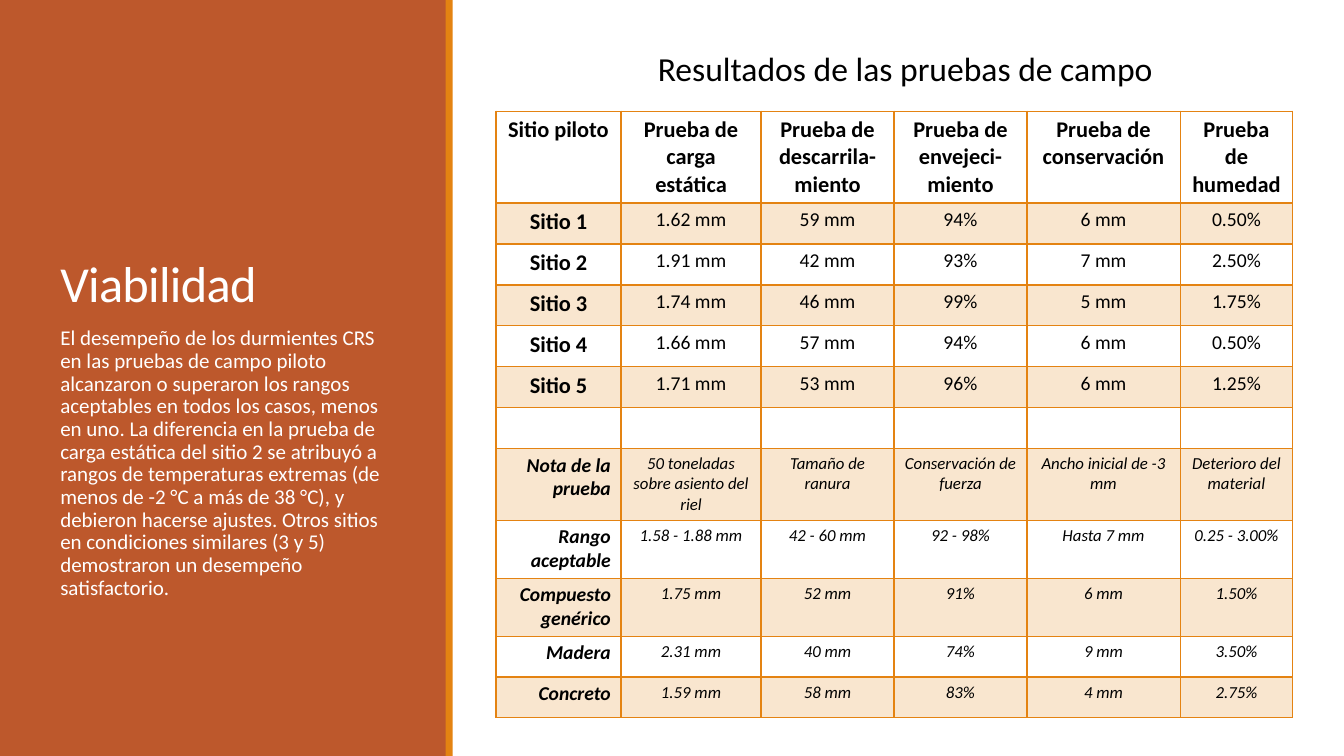
from lxml.etree import SubElement
from pptx import Presentation
from pptx.dml.color import RGBColor
from pptx.enum.shapes import MSO_SHAPE
from pptx.enum.text import MSO_ANCHOR, PP_ALIGN
from pptx.oxml import parse_xml
from pptx.oxml.ns import nsdecls, qn
from pptx.util import Cm, Pt

ORANGE = "E48312"


def paint(fill, color):
    fill.solid()
    fill.fore_color.rgb = RGBColor.from_string(color)


def write(frame, text, size, color="000000", align=PP_ALIGN.LEFT, bold=False, slant=False):
    par = frame.paragraphs[0]
    par.text = text
    par.alignment = align
    font = par.font
    font.name = "Calibri"
    font.size = Pt(size)
    font.bold = bold
    font.italic = slant
    paint(font.fill, color)
    return par


deck = Presentation()
deck.slide_width = Cm(33.87)
deck.slide_height = Cm(19.05)
slide = deck.slides.add_slide(deck.slide_layouts[6])
shapes = slide.shapes

for left, width, color in [(0, 11.25, "BD582C"), (11.23, 0.18, ORANGE)]:
    band = shapes.add_shape(MSO_SHAPE.RECTANGLE, Cm(left), 0, Cm(width), Cm(19.05))
    band.shadow.inherit = False
    paint(band.fill, color)
    band.line.fill.background()

title = shapes.add_textbox(Cm(1.27), Cm(1.65), Cm(8.89), Cm(6.35)).text_frame
title.word_wrap = True
title.vertical_anchor = MSO_ANCHOR.BOTTOM
par = write(title, "Viabilidad", 36, "FFFFFF")
par.line_spacing = 0.85
par.runs[0].font._element.set("spc", "-50")

rows = [
    ["Sitio piloto", "Prueba de carga estática", "Prueba de descarrila-miento",
     "Prueba de envejeci-miento", "Prueba de conservación", "Prueba de humedad"],
    ["Sitio 1", "1.62 mm", "59 mm", "94%", "6 mm", "0.50%"],
    ["Sitio 2", "1.91 mm", "42 mm", "93%", "7 mm", "2.50%"],
    ["Sitio 3", "1.74 mm", "46 mm", "99%", "5 mm", "1.75%"],
    ["Sitio 4", "1.66 mm", "57 mm", "94%", "6 mm", "0.50%"],
    ["Sitio 5", "1.71 mm", "53 mm", "96%", "6 mm", "1.25%"],
    [""] * 6,
    ["Nota de la prueba", "50 toneladas sobre asiento del riel", "Tamaño de ranura",
     "Conservación de fuerza", "Ancho inicial de -3 mm", "Deterioro del material"],
    ["Rango aceptable", "1.58 - 1.88 mm", "42 - 60 mm", "92 - 98%", "Hasta 7 mm", "0.25 - 3.00%"],
    ["Compuesto genérico", "1.75 mm", "52 mm", "91%", "6 mm", "1.50%"],
    ["Madera", "2.31 mm", "40 mm", "74%", "9 mm", "3.50%"],
    ["Concreto", "1.59 mm", "58 mm", "83%", "4 mm", "2.75%"],
]
widths = [3.15, 3.53, 3.35, 3.35, 3.86, 2.84]
heights = [2.32] + [1.03] * 6 + [1.81, 1.46, 1.46, 1.03, 1.03]

table = shapes.add_table(len(rows), len(widths), Cm(12.5), Cm(2.8),
                         Cm(sum(widths)), Cm(sum(heights))).table
table.first_row = False
table.horz_banding = False
for col, width in zip(table.columns, widths):
    col.width = Cm(width)

for r, row in enumerate(rows):
    table.rows[r].height = Cm(heights[r])
    notes = r > 6
    for c, text in enumerate(row):
        cell = table.cell(r, c)
        head = r == 0 or c == 0
        size = (16 if head else 14) - (2 if notes else 0)
        align = PP_ALIGN.RIGHT if notes and c == 0 else PP_ALIGN.CENTER
        write(cell.text_frame, text, size, align=align, bold=head, slant=notes)
        props = cell._tc.get_or_add_tcPr()
        for side in "LRTB":
            thick = (r, side) in [(0, "B"), (1, "T")]
            props.append(parse_xml(
                f'<a:ln{side} {nsdecls("a")} w="{Pt(2 if thick else 1)}"><a:solidFill>'
                f'<a:srgbClr val="{ORANGE}"/></a:solidFill></a:ln{side}>'))
        if r % 2:
            paint(cell.fill, ORANGE)
            tint = props.find(qn("a:solidFill")).find(qn("a:srgbClr"))
            SubElement(tint, qn("a:alpha")).set("val", "20000")
        else:
            cell.fill.background()

body = shapes.add_textbox(Cm(1.27), Cm(8.13), Cm(8.89), Cm(9.4)).text_frame
body.word_wrap = True
par = write(body, "El desempeño de los durmientes CRS en las pruebas de campo piloto "
            "alcanzaron o superaron los rangos aceptables en todos los casos, menos en uno. "
            "La diferencia en la prueba de carga estática del sitio 2 se atribuyó a rangos de "
            "temperaturas extremas (de menos de -2 °C a más de 38 °C), y debieron hacerse "
            "ajustes. Otros sitios en condiciones similares (3 y 5) demostraron un desempeño "
            "satisfactorio.", 15, "FFFFFF")
par.line_spacing = 0.9
par.space_after = Pt(2)

label = shapes.add_textbox(Cm(16.26), Cm(1.09), Cm(13.11), Cm(1.27)).text_frame
label.word_wrap = False
write(label, "Resultados de las pruebas de campo", 24, align=PP_ALIGN.CENTER)

deck.save("out.pptx")
